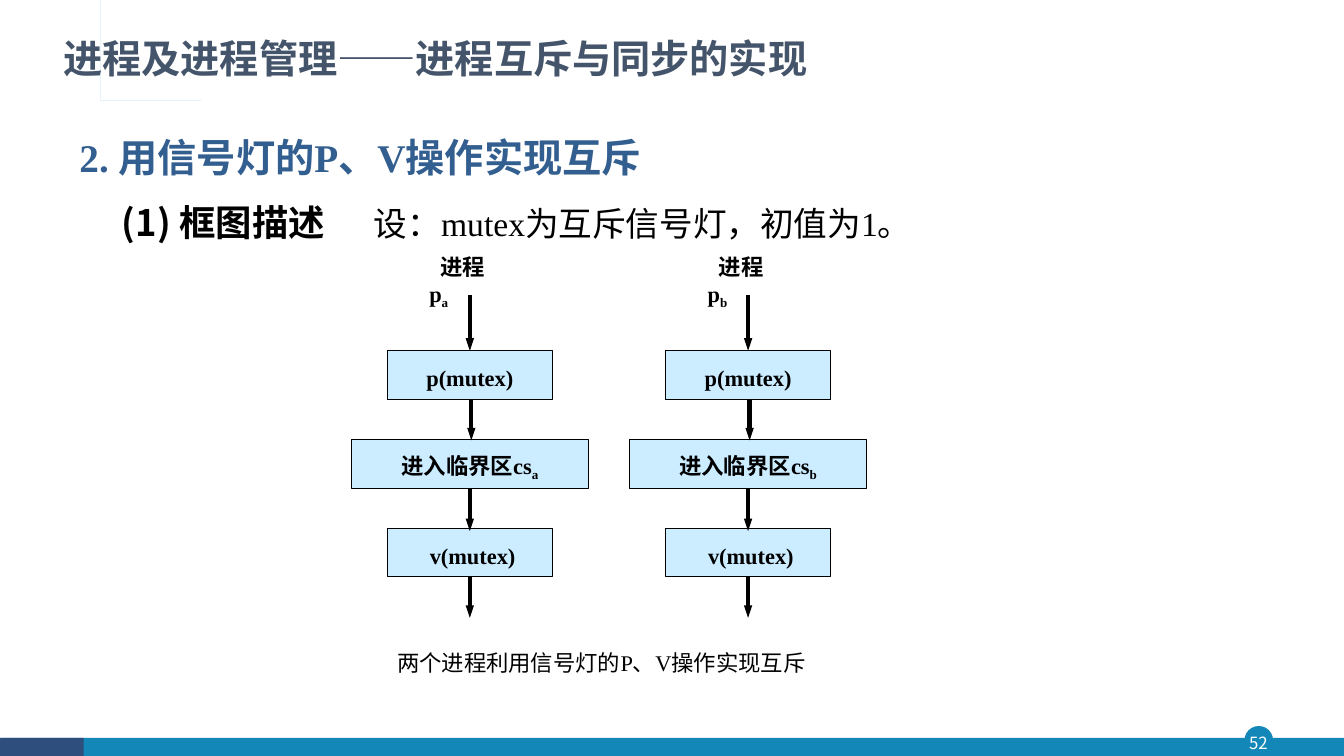
"""Slide on mutual exclusion of two processes with P and V operations."""
from dataclasses import dataclass
from typing import Optional

from lxml.etree import SubElement
from pptx import Presentation
from pptx.dml.color import RGBColor
from pptx.enum.shapes import MSO_CONNECTOR, MSO_SHAPE
from pptx.enum.text import MSO_ANCHOR as Anchor, PP_ALIGN as Align
from pptx.oxml.ns import qn
from pptx.util import Inches, Pt

SANS = "Noto Sans CJK SC"
SERIF = "Times New Roman"
BLACK = RGBColor(0x00, 0x00, 0x00)
WHITE = RGBColor(0xFF, 0xFF, 0xFF)
TEAL = RGBColor(0x13, 0x87, 0xB7)
NAVY = RGBColor(0x2E, 0x4E, 0x7E)
CYAN = RGBColor(0x28, 0xA9, 0xD6)
SLATE = RGBColor(0x44, 0x54, 0x6A)
BLUE = RGBColor(0x33, 0x5F, 0x90)
PALE = RGBColor(0xCC, 0xEC, 0xFF)


@dataclass(frozen=True)
class Box:
    left: float
    top: float
    width: float
    height: float

    def lengths(self) -> tuple:
        return tuple(Inches(v) for v in (self.left, self.top, self.width, self.height))


@dataclass(frozen=True)
class Words:
    text: str
    size: float = 16
    color: RGBColor = BLACK
    bold: bool = False
    font: str = SERIF
    subscript: bool = False


@dataclass(frozen=True)
class Step:
    text: str
    top: float
    width: float
    height: float
    has_suffix: bool = False


@dataclass(frozen=True)
class Flow:
    suffix: str
    center: float


@dataclass(frozen=True)
class Arrow:
    top: float
    bottom: float
    shift: float = 0


STEPS = [
    Step("p(mutex)", 3.48, 1.64, 0.48),
    Step("进入临界区cs", 4.36, 2.35, 0.49, True),
    Step(" v(mutex)", 5.24, 1.64, 0.48),
]
ARROWS = [Arrow(2.93, 3.48), Arrow(3.96, 4.37, 0.015), Arrow(4.85, 5.27), Arrow(5.72, 6.13)]
FLOWS = [Flow("a", 4.66), Flow("b", 7.42)]
EMBLEM = [
    (0.54, 0.39), (0.54, 0.85), (1.87, 0.85), (1.87, 0.87), (0.52, 0.87), (0.52, 0.41),
    (0.47, 0.41), (0.47, 0.87), (0.36, 0.87), (0.36, 0.39), (0.39, 0.39), (0.39, 0.84),
    (0.44, 0.84), (0.44, 0.39),
]


def write(paragraph, pieces: list[Words], spacing: float = 1.0, align: Optional[Align] = None) -> None:
    paragraph.line_spacing = spacing
    paragraph.alignment = align
    for piece in pieces:
        run = paragraph.add_run()
        run.text = piece.text
        run.font.size = Pt(piece.size)
        run.font.bold = piece.bold
        run.font.color.rgb = piece.color
        run.font.name = piece.font
        properties = run.font._element
        SubElement(properties, qn("a:ea")).set("typeface", SANS)
        if piece.subscript:
            properties.set("baseline", "-25000")


def add_text(slide, box: Box, anchor: Anchor = Anchor.TOP):
    frame = slide.shapes.add_textbox(*box.lengths()).text_frame
    frame.word_wrap = True
    frame.vertical_anchor = anchor
    return frame


def add_block(slide, kind: MSO_SHAPE, box: Box, fill: RGBColor,
              outline: Optional[RGBColor] = None, weight: float = 0.75):
    block = slide.shapes.add_shape(kind, *box.lengths())
    block.shadow.inherit = False
    block.fill.solid()
    block.fill.fore_color.rgb = fill
    if outline is None:
        block.line.fill.background()
    else:
        block.line.color.rgb = outline
        block.line.width = Pt(weight)
    return block.text_frame


def add_arrow(slide, x: float, top: float, bottom: float) -> None:
    arrow = slide.shapes.add_connector(
        MSO_CONNECTOR.STRAIGHT, Inches(x), Inches(top), Inches(x), Inches(bottom))
    arrow.line.color.rgb = BLACK
    arrow.line.width = Pt(3)
    head = SubElement(arrow.line._get_or_add_ln(), qn("a:tailEnd"))
    for key, value in (("type", "triangle"), ("w", "sm"), ("len", "med")):
        head.set(key, value)
    SubElement(arrow._element.spPr, qn("a:effectLst"))


def add_frame(slide) -> None:
    add_block(slide, MSO_SHAPE.OVAL, Box(12.35, 7.21, 0.27, 0.27), TEAL, TEAL, 1)
    add_block(slide, MSO_SHAPE.RECTANGLE, Box(0.01, 7.32, 13.32, 0.19), TEAL)
    add_block(slide, MSO_SHAPE.RECTANGLE, Box(0, 7.32, 0.83, 0.19), NAVY)
    number = add_text(slide, Box(12.32, 7.21, 0.32, 0.31), Anchor.MIDDLE)
    number.margin_left = number.margin_right = number.margin_top = number.margin_bottom = 0
    write(number.paragraphs[0], [Words("52", 12, WHITE, font=SANS)], align=Align.CENTER)

    start, *corners = EMBLEM
    outline = slide.shapes.build_freeform(*start, scale=Inches(1))
    outline.add_line_segments(corners, close=True)
    emblem = outline.convert_to_shape()
    emblem.shadow.inherit = False
    emblem.fill.solid()
    emblem.fill.fore_color.rgb = CYAN
    emblem.line.fill.background()


def add_headings(slide) -> None:
    title = add_text(slide, Box(0.53, 0.34, 10.49, 0.56))
    write(title.paragraphs[0],
          [Words("进程及进程管理——进程互斥与同步的实现", 28, SLATE, True, SANS)], 0.9)

    intro = add_text(slide, Box(0.69, 1.18, 9.1, 1.28))
    write(intro.paragraphs[0], [Words("2. 用信号灯的P、V操作实现互斥", 28, BLUE, True)], 1.2)
    detail = intro.add_paragraph()
    properties = detail._p.get_or_add_pPr()
    properties.set("marL", str(Inches(0.42)))
    properties.set("indent", "0")
    stop = SubElement(SubElement(properties, qn("a:tabLst")), qn("a:tab"))
    stop.set("pos", str(Inches(2.76)))
    stop.set("algn", "l")
    detail.space_before = Pt(5.6)
    write(detail, [Words("(1) 框图描述", 26, bold=True, font=SANS), Words("\t", 28),
                   Words("设：mutex为互斥信号灯，初值为1。", 24)], 1.2)


def add_flow(slide, flow: Flow) -> None:
    suffix = Words(flow.suffix, bold=True, subscript=True)
    label = add_text(slide, Box(flow.center - 0.5, 2.46, 0.97, 0.64)).paragraphs[0]
    label._p.get_or_add_pPr().set("indent", str(Inches(0.11)))
    write(label, [Words("进程 p", bold=True), suffix])
    for step in STEPS:
        box = Box(flow.center - step.width / 2, step.top, step.width, step.height)
        block = add_block(slide, MSO_SHAPE.RECTANGLE, box, PALE, BLACK)
        block.vertical_anchor = Anchor.MIDDLE
        pieces = [Words(step.text, bold=True)] + ([suffix] if step.has_suffix else [])
        write(block.paragraphs[0], pieces, 1.2, Align.CENTER)
    for arrow in ARROWS:
        add_arrow(slide, flow.center + arrow.shift, arrow.top, arrow.bottom)


def main() -> None:
    deck = Presentation()
    deck.slide_width, deck.slide_height = Inches(13.33), Inches(7.5)
    slide = deck.slides.add_slide(deck.slide_layouts[6])
    add_frame(slide)
    add_headings(slide)
    for flow in FLOWS:
        add_flow(slide, flow)
    caption = add_text(slide, Box(3.84, 6.34, 4.4, 0.42))
    write(caption.paragraphs[0], [Words("两个进程利用信号灯的P、V操作实现互斥")], 1.2, Align.JUSTIFY)
    deck.save("out.pptx")


if __name__ == "__main__":
    main()
